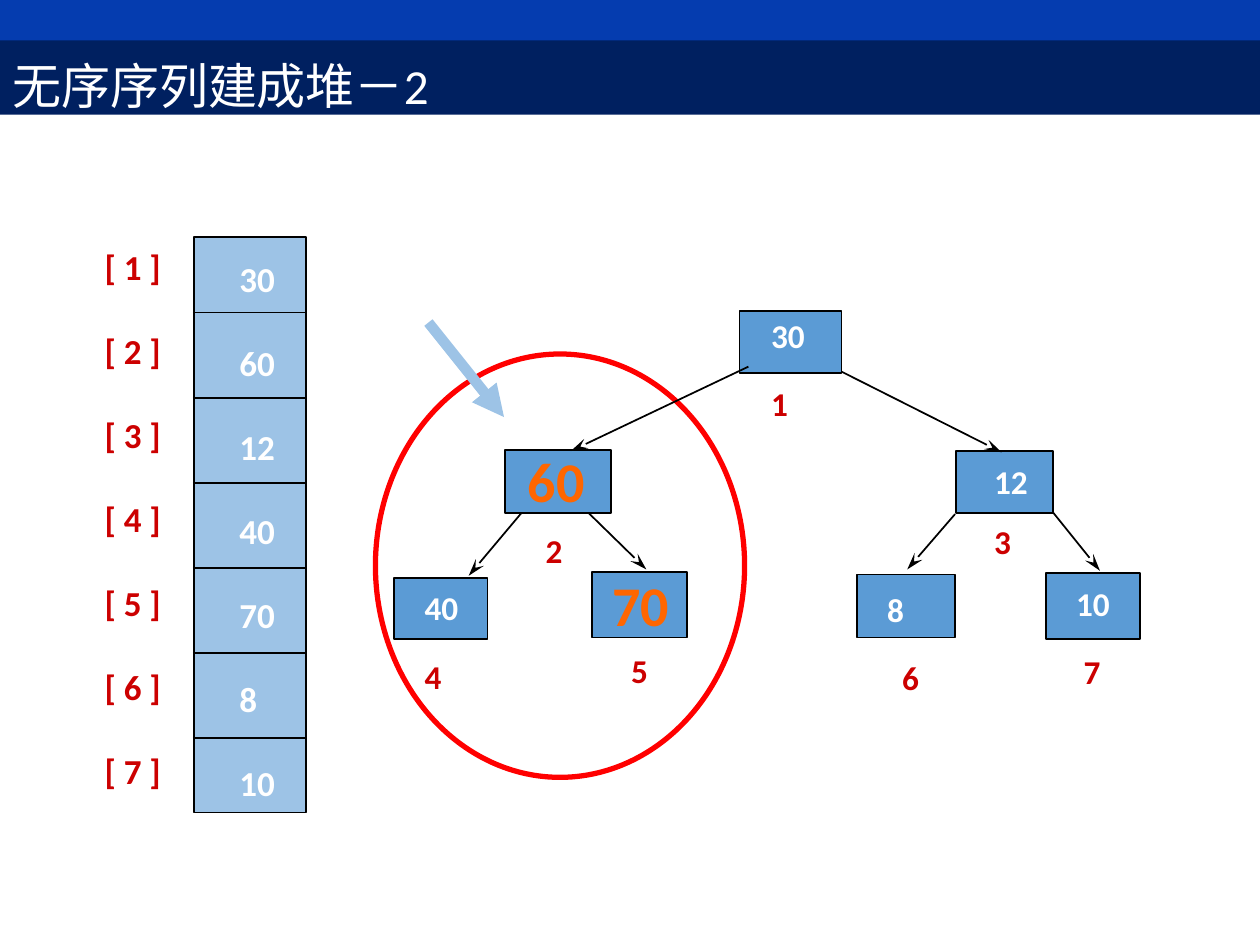
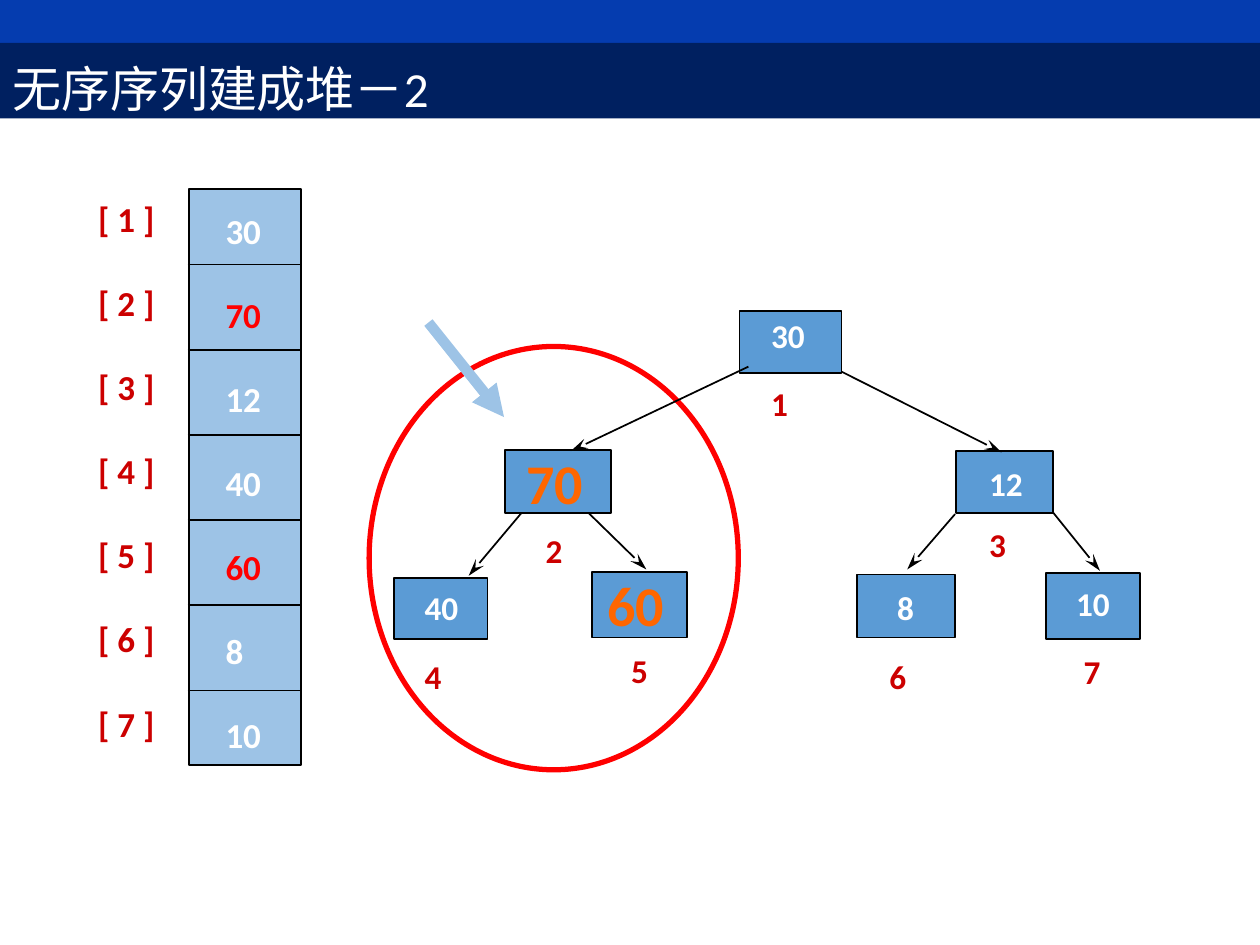
import pptx
import pptx.dml.color
import pptx.enum.shapes
import pptx.enum.text
import pptx.oxml.ns
import pptx.util
from lxml import etree
from pptx.util import Inches

SHAPE = pptx.enum.shapes.MSO_SHAPE
ANCHOR = pptx.enum.text.MSO_ANCHOR

# Node number: left, top, width, height
NODE_BOXES = {
    1: (5.87, 2.47, 0.81, 0.49),
    2: (4.01, 3.57, 0.84, 0.5),
    3: (7.59, 3.58, 0.77, 0.49),
    4: (3.13, 4.59, 0.74, 0.48),
    5: (4.7, 4.54, 0.75, 0.52),
    6: (6.8, 4.56, 0.78, 0.5),
    7: (8.3, 4.55, 0.75, 0.52),
}
# Parent end, then child end
EDGES = [
    ((5.94, 2.91), (4.53, 3.58)),
    ((6.68, 2.95), (7.95, 3.59)),
    ((4.14, 4.07), (3.72, 4.57)),
    ((4.67, 4.07), (5.13, 4.52)),
    ((7.58, 4.08), (7.2, 4.52)),
    ((8.36, 4.07), (8.73, 4.53)),
]
# Node number: where its value and its number stand
VALUE_SPOTS = {1: (6.12, 2.5), 2: (4.19, 3.54), 3: (7.89, 3.66), 4: (3.37, 4.66),
               5: (4.86, 4.53), 6: (7.04, 4.68), 7: (8.54, 4.63)}
NUMBER_SPOTS = {1: (6.12, 3.04), 2: (4.33, 4.21), 3: (7.89, 4.14), 4: (3.37, 5.21),
                5: (5.01, 5.16), 6: (7.16, 5.22), 7: (8.6, 5.17)}
SWAPPED = (2, 5)


def rgb(hex_color):
    return pptx.dml.color.RGBColor.from_string(hex_color)


def write(frame, lines, size=20, color="FFFFFF", bold=True, gap=0, spacing=None,
          highlights=()):
    """Fill a frame with one paragraph per line; highlights are 1-based line numbers in red."""
    for number, line in enumerate(lines, 1):
        paragraph = frame.paragraphs[0] if number == 1 else frame.add_paragraph()
        paragraph.alignment = pptx.enum.text.PP_ALIGN.LEFT
        if gap and number > 1:
            paragraph.space_before = pptx.util.Pt(gap)
        if spacing:
            paragraph.line_spacing = spacing
        run = paragraph.add_run()
        run.text = line
        run.font.name = "Calibri"
        run.font.size = pptx.util.Pt(size)
        run.font.bold = bold
        run.font.color.rgb = rgb(Deck.RED if number in highlights else color)


class Deck:
    TOP_BAND, TITLE_BAND = "053CAF", "002060"
    NODE, CELL, EDGE = "5B9BD5", "9DC3E6", "000000"
    RED, NUMBER, FOCUS = "FF0000", "CC0000", "FF6600"

    def __init__(self):
        self.presentation = pptx.Presentation()
        self.presentation.slide_width = Inches(10)
        self.presentation.slide_height = Inches(7.5)
        self.slide = None

    def new_slide(self, title, band_top, band_height):
        self.slide = self.presentation.slides.add_slide(self.presentation.slide_layouts[6])
        self.box(0, 0, 10, 0.34, self.TOP_BAND)
        band = self.box(0, band_top, 10, band_height, self.TITLE_BAND)
        band.text_frame.vertical_anchor = ANCHOR.MIDDLE
        write(band.text_frame, [title], size=28, bold=False, spacing=1.25)

    def box(self, left, top, width, height, fill, line=None, line_width=1,
            kind=SHAPE.RECTANGLE):
        shape = self.slide.shapes.add_shape(
            kind, Inches(left), Inches(top), Inches(width), Inches(height))
        shape.shadow.inherit = False
        shape.fill.solid()
        shape.fill.fore_color.rgb = rgb(fill)
        if line:
            shape.line.color.rgb = rgb(line)
            shape.line.width = pptx.util.Pt(line_width)
        else:
            shape.line.fill.background()
        return shape

    def text(self, left, top, width, height, lines, **style):
        frame = self.slide.shapes.add_textbox(
            Inches(left), Inches(top), Inches(width), Inches(height)).text_frame
        frame.word_wrap = True
        frame.margin_left = frame.margin_right = 0
        frame.margin_top = frame.margin_bottom = 0
        write(frame, lines, **style)

    def line(self, start, end, color=EDGE, width=1, head=None, head_length="med"):
        connector = self.slide.shapes.add_connector(
            pptx.enum.shapes.MSO_CONNECTOR.STRAIGHT, *map(Inches, start + end))
        connector.line.color.rgb = rgb(color)
        connector.line.width = pptx.util.Pt(width)
        qn = pptx.oxml.ns.qn
        if head:
            etree.SubElement(connector.line._get_or_add_ln(), qn("a:tailEnd"),
                             type=head, w="med", len=head_length)
        etree.SubElement(connector._element.spPr, qn("a:effectLst"))

    def array(self, left, top, index_left, value_left, values, highlights=()):
        """Draw the column of stored values with its indices on the left."""
        self.box(left, top, 0.89, 4.57, self.CELL, self.EDGE)
        for row in range(len(values) - 1):
            y = top + 0.6 + row * 0.676
            self.line((left - 0.01, y), (left + 0.9, y))
        indices = [f"[ {index} ]" for index in range(1, len(values) + 1)]
        self.text(index_left, top + 0.07, 0.6, 4.4, indices, color=self.NUMBER, gap=24)
        self.text(value_left, top + 0.16, 0.4, 4.4, values, gap=24, highlights=highlights)

    def tree(self, values, moved_values, moved_numbers):
        """Draw the heap; the moved arguments replace spots of single nodes."""
        for place in NODE_BOXES.values():
            self.box(*place, self.NODE, self.EDGE)
        for parent, child in EDGES:
            self.line(parent, child, head="stealth", head_length="lg")
        value_spots = VALUE_SPOTS | moved_values
        number_spots = NUMBER_SPOTS | moved_numbers
        for node, value in enumerate(values, 1):
            style = {"size": 32, "color": self.FOCUS} if node in SWAPPED else {"size": 19}
            self.text(*value_spots[node], 0.6, 0.54, [value], **style)
            self.text(*number_spots[node], 0.3, 0.32, [str(node)], size=19, color=self.NUMBER)

    def step(self, band, circle, array, values, highlights=(), moved_values=None,
             moved_numbers=None):
        """Draw one slide of the heap building."""
        self.new_slide("无序序列建成堆－2", *band)
        self.box(*circle, 2.93, 3.36, "FFFFFF", self.RED, 3, SHAPE.OVAL)
        self.array(*array, values, highlights)
        self.line((3.4, 2.56), (4, 3.31), self.CELL, 6, "triangle")
        self.tree(values, moved_values or {}, moved_numbers or {})


def main():
    deck = Deck()
    deck.step(band=(0.32, 0.59), circle=(2.98, 2.81), array=(1.54, 1.88, 0.83, 1.9),
              values=["30", "60", "12", "40", "70", "8", "10"])
    deck.step(band=(0.34, 0.6), circle=(2.93, 2.75), array=(1.5, 1.5, 0.78, 1.79),
              values=["30", "70", "12", "40", "60", "8", "10"], highlights=SWAPPED,
              moved_values={2: (4.18, 3.56), 3: (7.85, 3.68), 5: (4.82, 4.53), 6: (7.12, 4.66)},
              moved_numbers={3: (7.85, 4.16), 6: (7.06, 5.21)})
    deck.presentation.save("out.pptx")


if __name__ == "__main__":
    main()
